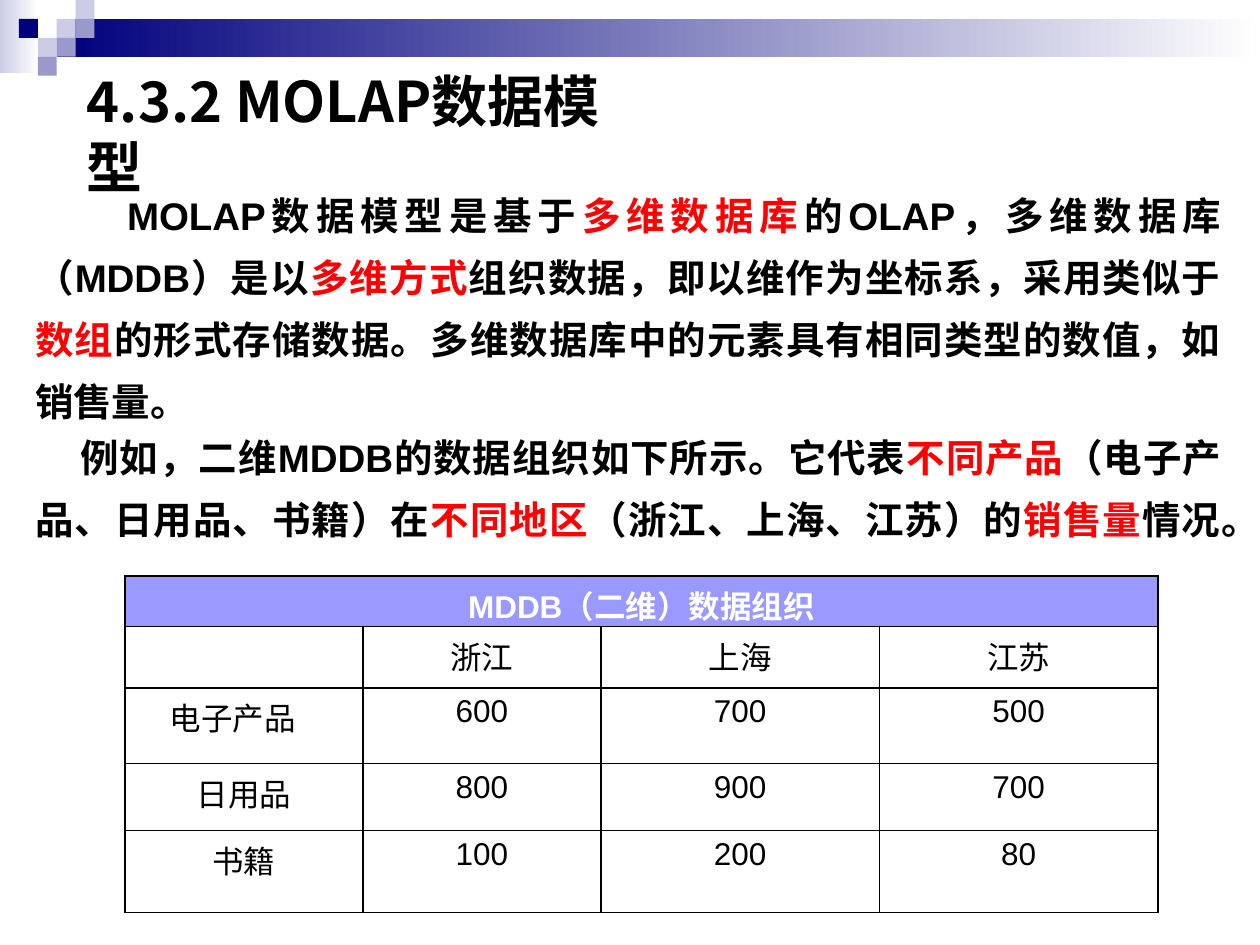
from lxml import etree
from pptx import Presentation
from pptx.dml.color import RGBColor
from pptx.enum.shapes import MSO_SHAPE
from pptx.enum.text import MSO_ANCHOR, PP_ALIGN
from pptx.oxml.ns import qn
from pptx.util import Inches, Pt

RECTANGLE = MSO_SHAPE.RECTANGLE
TOP = MSO_ANCHOR.TOP
LEFT, CENTER, JUSTIFY = PP_ALIGN.LEFT, PP_ALIGN.CENTER, PP_ALIGN.JUSTIFY

THEME = {
    "latin": "Arial", "chinese": "Noto Sans CJK SC",
    "title": 32, "body": 22, "table": 18,
    "ink": "000000", "accent": "FF0000", "paper": "FFFFFF", "header": "9999FF",
    "navy": "00007D", "lilac": "CCCCE6", "violet": "9999CC",
}
UNIT = 0.15  # side of one decorative square, in inches


def add_spans(para, spans, size, bold, latin=THEME["latin"]):
    """Add (text, theme colour) spans with Latin and Chinese fonts."""
    for text, color in spans:
        span = para.add_run()
        span.text = text
        for name, value in {"size": Pt(size), "bold": bold, "name": latin}.items():
            setattr(span.font, name, value)
        span.font.color.rgb = RGBColor.from_string(THEME[color])
        properties = span.font._element
        properties.set("lang", "zh-CN")
        east_asian = etree.Element(qn("a:ea"), typeface=THEME["chinese"])
        properties.find(qn("a:latin")).addnext(east_asian)


def add_rectangle(left, top, width, height, *colors):
    """Draw a borderless box, with a left-to-right gradient for two colours."""
    box = page.shapes.add_shape(RECTANGLE, *map(Inches, (left, top, width, height)))
    box.shadow.inherit = False
    box.line.fill.background()
    if len(colors) == 1:
        box.fill.solid()
        box.fill.fore_color.rgb = RGBColor.from_string(THEME[colors[0]])
    else:
        box.fill.gradient()
        box.fill.gradient_angle = 0
        for stop, color in zip(box.fill.gradient_stops, colors):
            stop.color.rgb = RGBColor.from_string(THEME[color])


deck = Presentation()
deck.slide_width, deck.slide_height = Inches(10), Inches(7.5)
page = deck.slides.add_slide(deck.slide_layouts[6])

# Banner and its mosaic of squares, placed by column and row
add_rectangle(0, 0, 0.31, 0.58, "lilac", "paper")
add_rectangle(3 * UNIT, UNIT, 10 - 3 * UNIT, 2 * UNIT, "navy", "paper")
for column, row, color in [
    (3, 1, "lilac"), (4, 0, "lilac"), (4, 1, "violet"), (2, 2, "lilac"),
    (1, 1, "navy"), (3, 2, "violet"), (2, 3, "violet"),
]:
    add_rectangle(column * UNIT, row * UNIT, UNIT, UNIT, color)

# Title and paragraphs
title = [("4.3.2 MOLAP数据模型", "ink")]
definition = [
    ("MOLAP数据模型是基于", "ink"), ("多维数据库", "accent"),
    ("的OLAP，多维数据库（MDDB）是以", "ink"), ("多维方式", "accent"),
    ("组织数据，即以维作为坐标系，采用类似于", "ink"), ("数组", "accent"),
    ("的形式存储数据。多维数据库中的元素具有相同类型的数值，如销售量。", "ink"),
]
example = [
    ("例如，二维MDDB的数据组织如下所示。它代表", "ink"), ("不同产品", "accent"),
    ("（电子产品、日用品、书籍）在", "ink"), ("不同地区", "accent"),
    ("（浙江、上海、江苏）的", "ink"), ("销售量", "accent"), ("情况。", "ink"),
]
for spans, place, size, latin, pitch, indent, align in [
    (definition, (0.18, 1.32, 9.61, 2.03), "body", "latin", 35.4, 0.73, JUSTIFY),
    (title, (0.59, 0.45, 4.49, 0.64), "title", "chinese", 38, 0, LEFT),
    (example, (0.18, 3.24, 9.61, 1.02), "body", "latin", 35.4, 0.36, JUSTIFY),
]:
    frame = page.shapes.add_textbox(*map(Inches, place)).text_frame
    for name, value in {"word_wrap": True, "vertical_anchor": TOP,
                        "margin_top": Inches(0.08)}.items():
        setattr(frame, name, value)
    para = frame.paragraphs[0]
    para.alignment, para.line_spacing = align, Pt(pitch)
    para._p.get_or_add_pPr().set("indent", str(Inches(indent)))
    add_spans(para, spans, THEME[size], True, THEME[latin])

# Sales by product and region
records = [
    ["MDDB（二维）数据组织", "", "", ""],
    ["", "浙江", "上海", "江苏"],
    ["电子产品", "600", "700", "500"],
    ["日用品", "800", "900", "700"],
    ["书籍", "100", "200", "80"],
]
place = map(Inches, (0.99, 4.57, 8.19, 2.72))
table = page.shapes.add_table(len(records), len(records[0]), *place).table
table.horz_banding = False
for column, width in zip(table.columns, (1.89, 1.89, 2.21, 2.21)):
    column.width = Inches(width)
for row, height in zip(table.rows, (0.37, 0.49, 0.6, 0.53, 0.65)):
    row.height = Inches(height)
table.cell(0, 0).merge(table.cell(0, 3))

for row, record in enumerate(records):
    header = row == 0
    for column, text in enumerate(record):
        cell = table.cell(row, column)
        cell.vertical_anchor = TOP
        properties = cell._tc.get_or_add_tcPr()
        for side in ("a:lnL", "a:lnR", "a:lnT", "a:lnB"):
            border = etree.SubElement(properties, qn(side), w=str(Pt(1)))
            fill = etree.SubElement(border, qn("a:solidFill"))
            etree.SubElement(fill, qn("a:srgbClr"), val=THEME["ink"])
        cell.fill.solid()
        cell.fill.fore_color.rgb = RGBColor.from_string(
            THEME["header" if header else "paper"])
        para = cell.text_frame.paragraphs[0]
        para.alignment = CENTER
        para.font.size = Pt(THEME["table"])
        if text:
            color = "paper" if header else "ink"
            add_spans(para, [(text, color)], THEME["table"], header)
table.cell(2, 0).margin_right = Inches(0.28)

deck.save("out.pptx")
